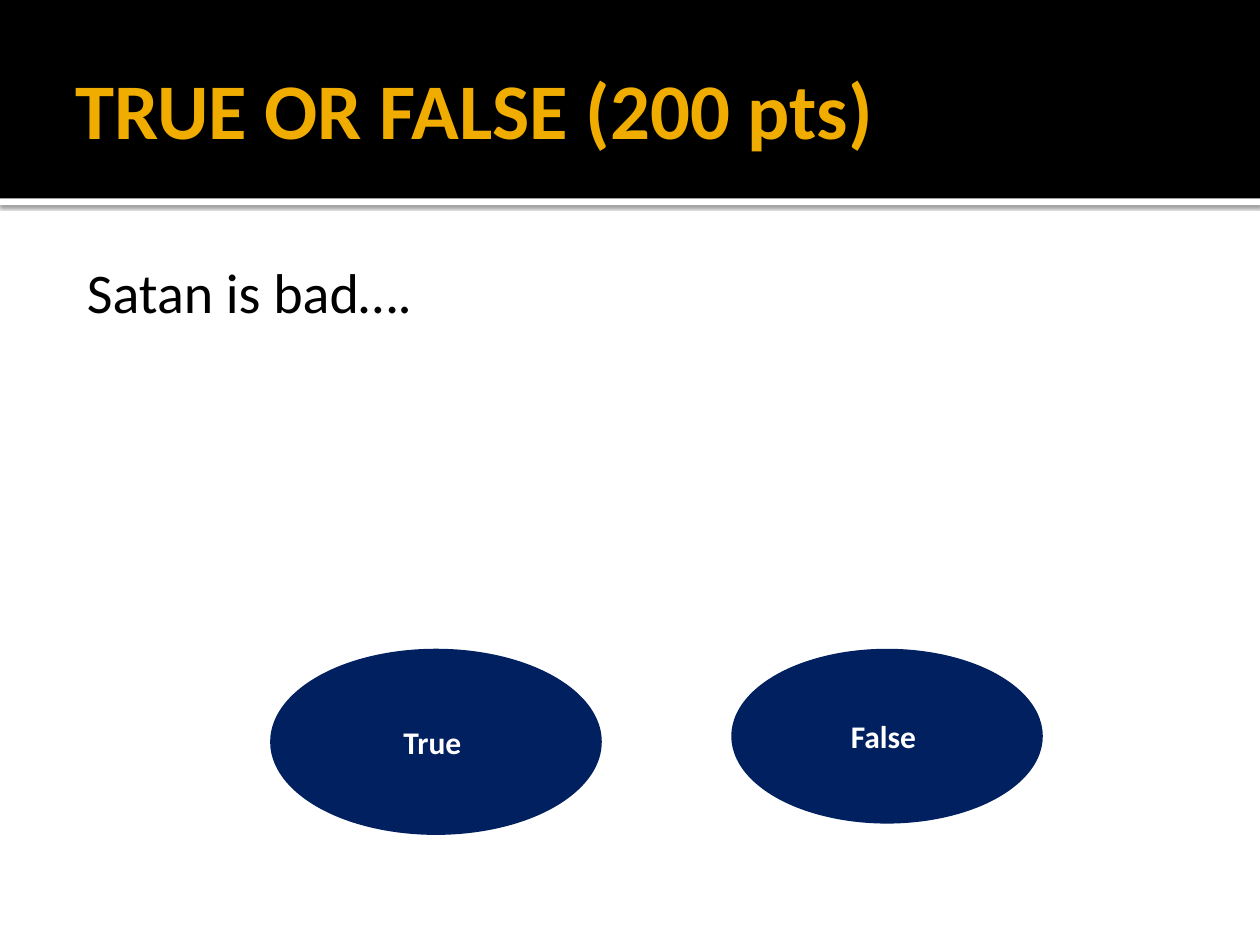
"""Build a true-or-false quiz slide with two answer ovals."""
from dataclasses import dataclass

from lxml import etree
from pptx import Presentation
from pptx import util as u
from pptx.dml.color import RGBColor
from pptx.enum import shapes, text
from pptx.oxml import ns

COLORS = {"black": "000000", "white": "FFFFFF", "gold": "F0AD00", "navy": "002060"}
WIDTH, HEIGHT = u.Inches(10), u.Inches(7.5)
MARGIN = 0.05
BAND = 0.21


@dataclass
class Box:
    """Place and size as shares of the slide."""
    x: float
    y: float
    w: float
    h: float

    def emu(self) -> tuple[int, int, int, int]:
        """Return left, top, width and height in EMU."""
        return (int(self.x * WIDTH), int(self.y * HEIGHT),
                int(self.w * WIDTH), int(self.h * HEIGHT))


@dataclass
class Answer:
    """An answer oval and its label."""
    label: str
    box: Box


ANSWERS = [
    Answer("True ", Box(0.217, 0.69, 0.258, 0.19)),
    Answer("False ", Box(0.583, 0.69, 0.242, 0.178)),
]


def color(name: str) -> RGBColor:
    """Look up a palette colour."""
    return RGBColor.from_string(COLORS[name])


def add_text(sp, words: str, *, size: float, fill: str, bold: bool = False,
             align=text.PP_ALIGN.LEFT, anchor=text.MSO_ANCHOR.MIDDLE,
             insets=(0.1, 0.05, 0.1, 0.05)):
    """Write one formatted paragraph and return it."""
    tf = sp.text_frame
    tf.word_wrap = True
    tf.auto_size = text.MSO_AUTO_SIZE.NONE
    tf.vertical_anchor = anchor
    (tf.margin_left, tf.margin_top,
     tf.margin_right, tf.margin_bottom) = map(u.Inches, insets)
    p = tf.paragraphs[0]
    p.alignment = align
    p.space_before = u.Pt(0)
    r = p.add_run()
    r.text = words
    r.font.name, r.font.size, r.font.bold = "Calibri", u.Pt(size), bold
    r.font.color.rgb = color(fill)
    return p


def add_shape(s, kind, box: Box, fill: str):
    """Add a plain filled shape without line or shadow."""
    sp = s.shapes.add_shape(kind, *box.emu())
    sp.shadow.inherit = False
    sp.fill.solid()
    sp.fill.fore_color.rgb = color(fill)
    sp.line.fill.background()
    return sp


def add_shadow(sp) -> None:
    """Give a shape a soft shadow straight below it."""
    effects = sp._element.spPr.find(ns.qn("a:effectLst"))
    shadow = etree.SubElement(effects, ns.qn("a:outerShdw"), blurRad=str(u.Pt(2.5)),
                              dist=str(u.Pt(0.8)), dir="5400000", algn="tl",
                              rotWithShape="0")
    tone = etree.SubElement(shadow, ns.qn("a:srgbClr"), val=COLORS["black"])
    etree.SubElement(tone, ns.qn("a:alpha"), val="60000")


def add_header(s) -> None:
    """Draw the black band and its white rule behind the placeholders."""
    rect = shapes.MSO_SHAPE.RECTANGLE
    rule = add_shape(s, rect, Box(0, BAND, 1, 0.007), "white")
    add_shadow(rule)
    band = add_shape(s, rect, Box(0, 0, 1, BAND), "black")
    for sp in (band, rule):
        s.shapes._spTree.insert(2, sp._element)


def place(sp, box: Box) -> None:
    """Move and resize a placeholder."""
    sp.left, sp.top, sp.width, sp.height = box.emu()


def add_answer(s, answer: Answer) -> None:
    """Draw one answer oval."""
    sp = add_shape(s, shapes.MSO_SHAPE.OVAL, answer.box, "navy")
    sp.line.color.rgb = color("navy")
    sp.line.width = u.Pt(3.78)
    add_text(sp, answer.label, size=18, fill="white", bold=True,
             align=text.PP_ALIGN.CENTER)


def main() -> None:
    """Build and save the slide."""
    prs = Presentation()
    prs.slide_width, prs.slide_height = WIDTH, HEIGHT
    s = prs.slides.add_slide(prs.slide_layouts[1])
    add_header(s)

    title, body = s.placeholders
    place(title, Box(MARGIN, 0.023, 1 - 2 * MARGIN, 0.183))
    add_text(title, "TRUE OR FALSE (200 pts)", size=45, fill="gold", bold=True,
             insets=(0.1, 0.05, 0.05, 0.05))

    place(body, Box(MARGIN, 0.259, 1 - 2 * MARGIN, 0.264))
    p = add_text(body, "Satan is bad….", size=32, fill="black",
                 anchor=text.MSO_ANCHOR.TOP, insets=(0.06, 0.1, 0.1, 0.05))
    pPr = p._p.get_or_add_pPr()
    pPr.set("marL", str(u.Inches(0.48)))
    pPr.set("indent", str(u.Inches(-0.35)))
    etree.SubElement(pPr, ns.qn("a:buNone"))

    for answer in ANSWERS:
        add_answer(s, answer)
    prs.save("out.pptx")


if __name__ == "__main__":
    main()
